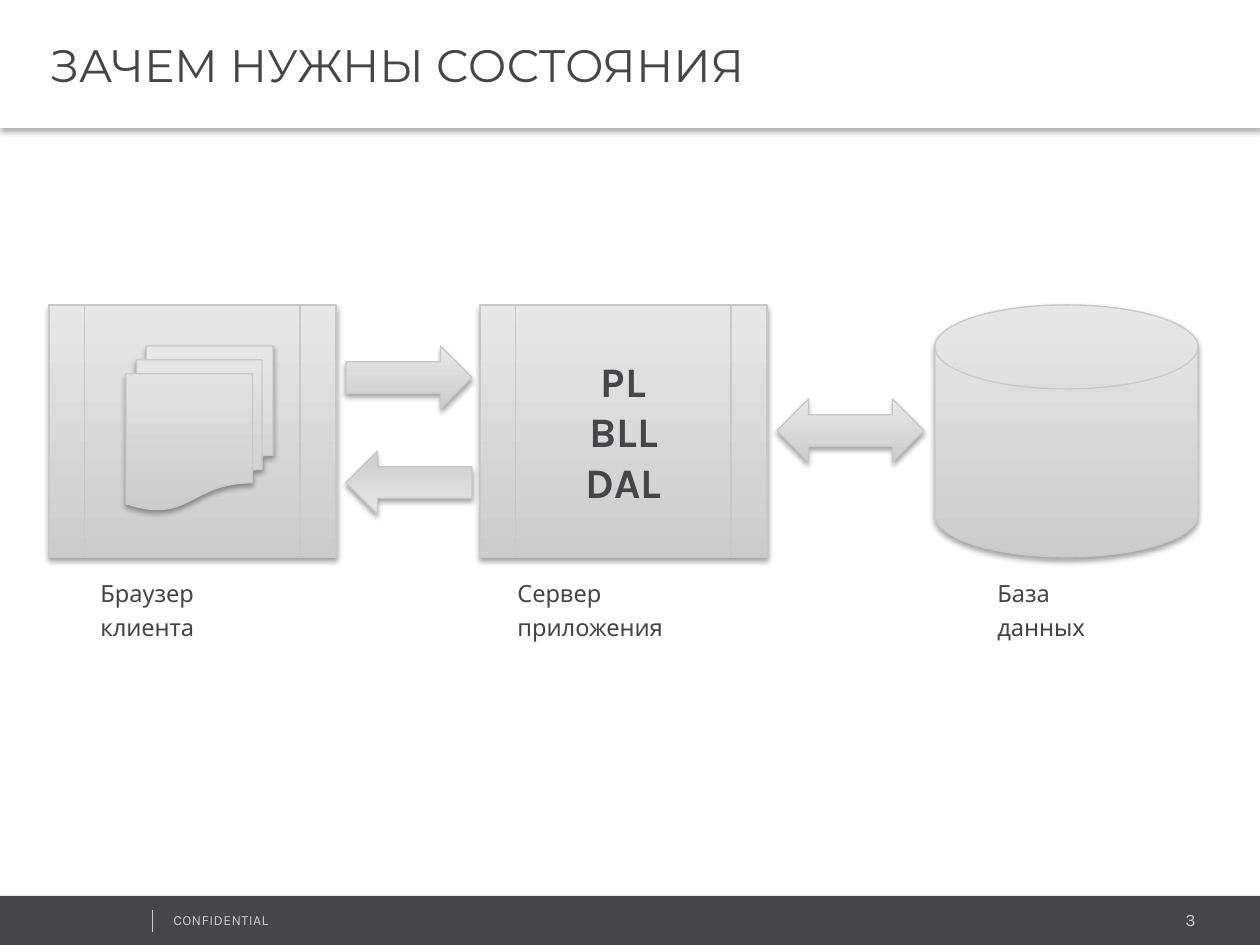
from lxml import etree
from pptx import Presentation
from pptx.dml.color import RGBColor
from pptx.enum.shapes import MSO_CONNECTOR, MSO_SHAPE
from pptx.enum.text import MSO_ANCHOR, MSO_AUTO_SIZE, PP_ALIGN
from pptx.oxml.ns import qn
from pptx.util import Pt

LEFT, MID, RIGHT = PP_ALIGN.LEFT, PP_ALIGN.CENTER, PP_ALIGN.RIGHT
TOP, CENTER = MSO_ANCHOR.TOP, MSO_ANCHOR.MIDDLE
FIXED = MSO_AUTO_SIZE.NONE
LINE = MSO_CONNECTOR.STRAIGHT
RECT = MSO_SHAPE.RECTANGLE
DISK = MSO_SHAPE.FLOWCHART_MAGNETIC_DISK
PROC = MSO_SHAPE.FLOWCHART_PREDEFINED_PROCESS
DOCS = MSO_SHAPE.FLOWCHART_MULTIDOCUMENT
ARROW = MSO_SHAPE.RIGHT_ARROW
BOTH = MSO_SHAPE.LEFT_RIGHT_ARROW

SCALE = 914400 / 126
WIDE, HIGH = 1260, 945
DARK, TEXT, PALE, EDGE = "464547", "444444", "CCCCCC", "C8C8C8"
SHADES = ("CCCCCC", "E7E7E7")


def px(*nums):
    """Turn px into EMU."""
    return [round(n * SCALE) for n in nums]


def rgb(code):
    return RGBColor.from_string(code)


def put(obj, vals):
    for name, val in vals.items():
        setattr(obj, name, val)


class Deck:
    """Holds the style and the current slide."""

    def __init__(self):
        self.prs = Presentation()
        self.prs.slide_width, self.prs.slide_height = px(WIDE, HIGH)
        self.slide = self.prs.slides.add_slide(self.prs.slide_layouts[5])
        self.shapes = self.slide.shapes

    def shade(self, shape, alpha, dist):
        """Give the shape a soft shadow that falls straight down."""
        shape.shadow.inherit = False
        root = shape._element.spPr.find(qn("a:effectLst"))
        drop = etree.SubElement(root, qn("a:outerShdw"), {
            "blurRad": str(Pt(3.1)), "dist": str(Pt(dist)),
            "dir": "5400000", "algn": "t", "rotWithShape": "0"})
        tint = etree.SubElement(drop, qn("a:srgbClr"), val="000000")
        etree.SubElement(tint, qn("a:alpha"), val=str(alpha * 1000))

    def set_text(self, shape, lines, size, color, face="Karla", bold=False,
                 align=LEFT, anchor=TOP, space=None, track=0):
        """Fill the shape with one paragraph for each line."""
        frame = shape.text_frame
        put(frame, {"text": "\n".join(lines), "word_wrap": True,
                    "auto_size": FIXED, "vertical_anchor": anchor})
        for para in frame.paragraphs:
            put(para, {"alignment": align, "line_spacing": space})
            for run in para.runs:
                put(run.font, {"name": face, "size": Pt(size), "bold": bold})
                run.font.color.rgb = rgb(color)
                if track:
                    run.font._element.set("spc", str(track))

    def title(self, text, box):
        head = self.shapes.title
        put(head, dict(zip(("left", "top", "width", "height"), px(*box))))
        head.fill.solid()
        head.fill.fore_color.rgb = rgb("FFFFFF")
        self.shade(head, 30, 2)
        self.set_text(head, [text], 26, DARK, "Montserrat", anchor=CENTER)
        head.text_frame.margin_left = px(50)[0]

    def label(self, text, box, size, color, **style):
        item = self.shapes.add_textbox(*px(*box))
        self.set_text(item, [text], size, color, **style)

    def bar(self, box, color):
        item = self.shapes.add_shape(RECT, *px(*box))
        item.shadow.inherit = False
        item.fill.solid()
        item.fill.fore_color.rgb = rgb(color)
        item.line.fill.background()

    def rule(self, ends, color, width):
        item = self.shapes.add_connector(LINE, *px(*ends))
        item.line.color.rgb = rgb(color)
        item.line.width = Pt(width)
        etree.SubElement(item._element.spPr, qn("a:effectLst"))

    def block(self, kind, box, turn=0):
        """Add a grey shape that fades from light at the top to dark."""
        item = self.shapes.add_shape(kind, *px(*box))
        item.rotation = turn
        item.fill.gradient()
        item.fill.gradient_angle = 90
        for stop, code in zip(item.fill.gradient_stops, SHADES):
            stop.color.rgb = rgb(code)
        item.line.color.rgb = rgb(EDGE)
        item.line.width = Pt(0.75)
        self.shade(item, 35, 1.8)
        return item


def main():
    deck = Deck()
    deck.bar((0, 896, WIDE, 49), DARK)
    deck.label("3", (1003, 903, 205, 34), 10, PALE, align=RIGHT)
    deck.label("CONFIDENTIAL", (161, 905, 319, 30), 8, PALE, track=20)
    deck.rule((152, 910, 152, 932), PALE, 0.25)
    deck.title("ЗАЧЕМ НУЖНЫ СОСТОЯНИЯ", (0, 0, WIDE, 128))

    top, tall = 305, 252
    deck.block(DISK, (935, top, 263, tall))
    server = deck.block(PROC, (480, top, 287, tall))
    deck.set_text(server, ["PL", "BLL", "DAL"], 24, DARK, bold=True,
                  align=MID, anchor=CENTER)
    deck.block(PROC, (49, top, 287, tall))

    for y, turn in ((346, 0), (451, 180)):
        deck.block(ARROW, (346, y, 126, 63), turn)
    deck.block(BOTH, (777, 399, 147, 63))

    for text, x, wide in (("Браузер клиента", 88, 209),
                          ("Сервер приложения", 505, 248),
                          ("База данных", 985, 162)):
        deck.label(text, (x, 567, wide, 44), 13.5, TEXT, space=1.2)
    deck.block(DOCS, (126, 346, 147, 164))
    deck.prs.save("out.pptx")


if __name__ == "__main__":
    main()
